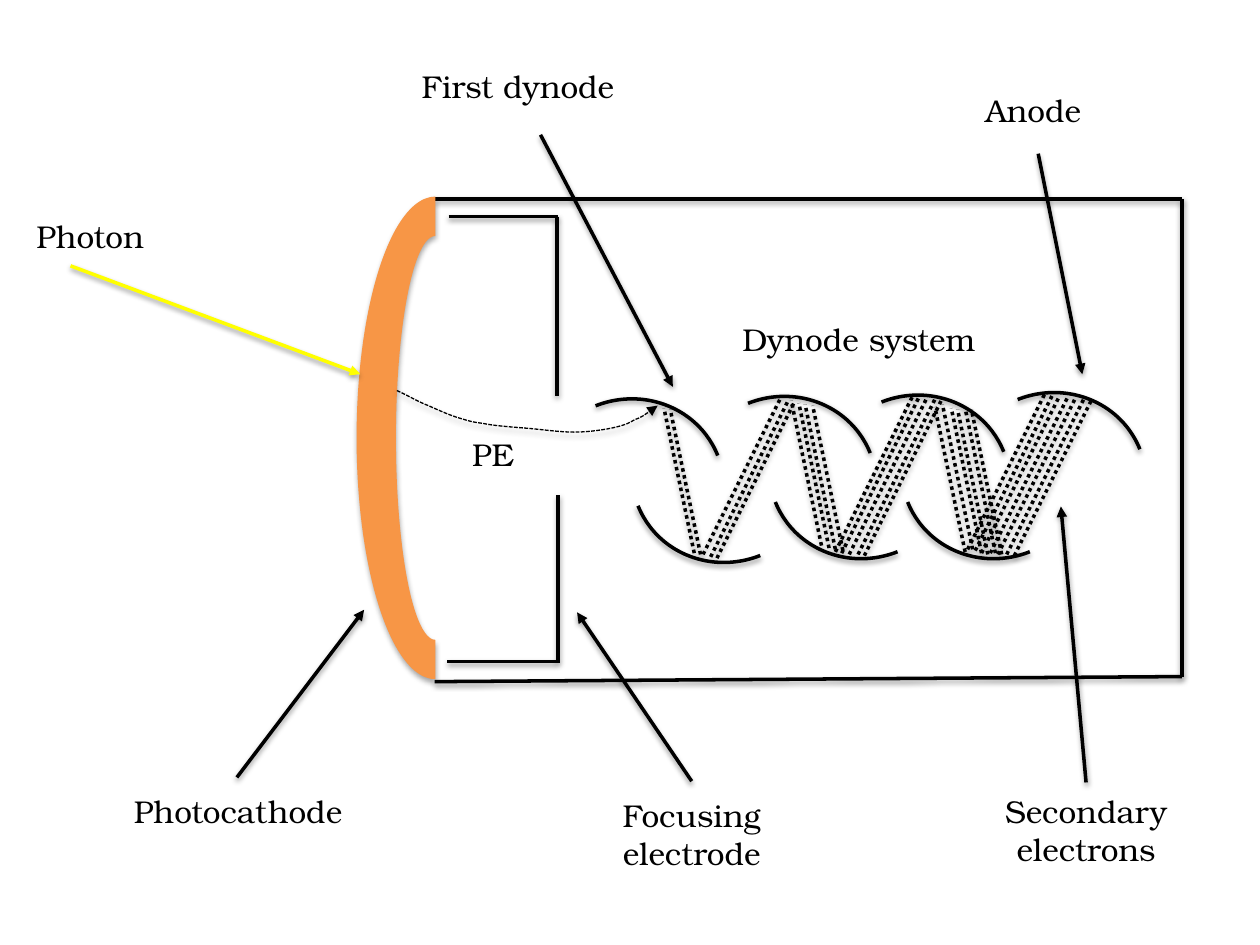
from lxml.etree import SubElement
from pptx import Presentation
from pptx.dml.color import RGBColor as RGB
from pptx.enum.dml import MSO_LINE as DASH
from pptx.enum.shapes import MSO_CONNECTOR as LINK, MSO_SHAPE as SHAPE
from pptx.enum.text import PP_ALIGN as ALIGN
from pptx.oxml.ns import qn
from pptx.util import Inches, Pt

FONT = "TeX Gyre Bonum"
HUES = {"ink": "000000", "photon": "FFFF00", "cathode": "F79646"}

# Straight parts: x1, y1, x2, y2
TUBE = [(3.45, 1.58, 9.38, 1.58), (3.45, 5.41, 9.38, 5.37), (9.38, 1.58, 9.38, 5.37)]
FOCUS = [(3.56, 1.72, 4.43, 1.72), (3.55, 5.25, 4.42, 5.25),
         (4.42, 1.72, 4.42, 3.14), (4.43, 3.93, 4.43, 5.26)]

# Dynodes: left and top, by rotation
ARC = (1.51, 1.45)
DYNODES = {338.3: [(4.24, 3.17), (5.45, 3.15), (6.51, 3.14), (7.59, 3.12)],
           158.3: [(7.15, 2.98), (6.1, 2.98), (5.01, 3.01)]}

# Secondary electrons: lower ends of the rays, by the shift to the upper end
RAYS = {
    (-0.24, -1.15): [
        (5.51, 4.39), (5.56, 4.4),
        (6.52, 4.33), (6.58, 4.35), (6.63, 4.36), (6.69, 4.37),
        (7.66, 4.38), (7.72, 4.36), (7.79, 4.39), (7.84, 4.4), (7.9, 4.39), (7.95, 4.4)],
    (0.61, -1.23): [
        (5.58, 4.4), (5.64, 4.42), (5.69, 4.43),
        (6.63, 4.38), (6.68, 4.39), (6.74, 4.4), (6.81, 4.4), (6.86, 4.41),
        (7.68, 4.36), (7.74, 4.37), (7.79, 4.39), (7.86, 4.39), (7.92, 4.4),
        (7.99, 4.4), (8.05, 4.41)],
}

# Photoelectron path: start, then three points for each Bezier piece
PATH = [(3.15, 3.1),
        (3.24, 3.14), (3.32, 3.19), (3.4, 3.22),
        (3.49, 3.26), (3.58, 3.3), (3.65, 3.32),
        (3.72, 3.34), (3.74, 3.35), (3.83, 3.36),
        (3.92, 3.38), (4.07, 3.39), (4.19, 3.4),
        (4.31, 3.41), (4.44, 3.43), (4.56, 3.43),
        (4.67, 3.43), (4.81, 3.41), (4.89, 3.39),
        (4.97, 3.37), (4.99, 3.36), (5.04, 3.33),
        (5.1, 3.31), (5.22, 3.22), (5.22, 3.22)]

# Labels: text, box, pointer (or None), pointer colour
LABELS = [
    ("Photon", (0.02, 1.67, 1.39, 0.4), (0.56, 2.11, 2.86, 2.97), "photon"),
    ("PE", (3.36, 3.4, 1.11, 0.4), None, "ink"),
    ("Dynode system", (5.09, 2.49, 3.45, 0.4), None, "ink"),
    ("First dynode", (3.19, 0.48, 1.84, 0.4), (4.29, 1.07, 5.34, 3.07), "ink"),
    ("Anode", (7.28, 0.67, 1.84, 0.4), (8.24, 1.22, 8.59, 2.97), "ink"),
    ("Focusing electrode", (4.36, 6.27, 2.26, 0.71), (5.49, 6.2, 4.58, 4.86), "ink"),
    ("Photocathode", (0.76, 6.24, 2.26, 0.4), (1.88, 6.17, 2.89, 4.84), "ink"),
    ("Secondary electrons", (7.38, 6.24, 2.48, 0.71), (8.62, 6.21, 8.42, 4.02), "ink"),
]


def inches(vals):
    return [Inches(v) for v in vals]


def shade(shape, dist=1.6, alpha=38):
    """Add a soft shadow below; call it once fill and line are set."""
    fx = SubElement(shape._element.spPr, qn("a:effectLst"))
    drop = SubElement(fx, qn("a:outerShdw"), blurRad=str(Pt(3.1)), dist=str(Pt(dist)),
                      dir="5400000", rotWithShape="0")
    tint = SubElement(drop, qn("a:srgbClr"), val=HUES["ink"])
    SubElement(tint, qn("a:alpha"), val=str(alpha * 1000))


def stroke(shape, hue="ink", width=2, dash=None, arrow=False):
    line = shape.line
    line.color.rgb = RGB.from_string(HUES[hue])
    line.width = Pt(width)
    if dash:
        line.dash_style = dash
    if arrow:
        SubElement(shape._element.spPr.find(qn("a:ln")), qn("a:tailEnd"), type="triangle")


def link(shapes, ends, **style):
    line = shapes.add_connector(LINK.STRAIGHT, *inches(ends))
    stroke(line, **style)
    shade(line)


def curve(shapes, points):
    """Draw a dashed arrow through Bezier points."""
    start, *rest = [inches(point) for point in points]
    pen = shapes.build_freeform(*start)
    pen.add_line_segments(rest, close=False)
    shape = pen.convert_to_shape()
    path = next(shape._element.iter(qn("a:path")))
    steps = path.findall(qn("a:lnTo"))
    for i in range(0, len(steps), 3):
        bend = SubElement(path, qn("a:cubicBezTo"))
        for step in steps[i:i + 3]:
            bend.append(step[0])
            path.remove(step)
    shape.fill.background()
    stroke(shape, width=0.75, dash=DASH.SQUARE_DOT, arrow=True)
    shade(shape, 1.8, 35)


def label(shapes, text, box):
    frame = shapes.add_textbox(*inches(box)).text_frame
    frame.word_wrap = True
    para = frame.paragraphs[0]
    para.alignment = ALIGN.CENTER
    run = para.add_run()
    run.text = text
    run.font.name = FONT
    run.font.size = Pt(18)
    run.font.color.rgb = RGB.from_string(HUES["ink"])


def main():
    prs = Presentation()
    prs.slide_width, prs.slide_height = inches((10, 7.5))
    shapes = prs.slides.add_slide(prs.slide_layouts[6]).shapes

    tube = shapes.add_group_shape().shapes
    for ends in TUBE:
        link(tube, ends)
    cathode = tube.add_shape(SHAPE.BLOCK_ARC, *inches((1.54, 2.85, 3.83, 1.25)))
    cathode.rotation = 270
    cathode.fill.solid()
    cathode.fill.fore_color.rgb = RGB.from_string(HUES["cathode"])
    cathode.line.fill.background()
    shade(cathode, 1.8, 35)

    focus = shapes.add_group_shape().shapes
    for ends in FOCUS:
        link(focus, ends)

    dynodes = shapes.add_group_shape().shapes
    for turn, spots in DYNODES.items():
        for spot in spots:
            arc = dynodes.add_shape(SHAPE.ARC, *inches(spot + ARC))
            arc.rotation = turn
            arc.fill.background()
            stroke(arc)
            shade(arc)

    curve(shapes, PATH)
    for (dx, dy), feet in RAYS.items():
        for x, y in feet:
            link(shapes, (x, y, x + dx, y + dy), dash=DASH.ROUND_DOT)

    for text, box, ends, hue in LABELS:
        if ends:
            link(shapes, ends, hue=hue, arrow=True)
        label(shapes, text, box)

    prs.save("out.pptx")


if __name__ == "__main__":
    main()
